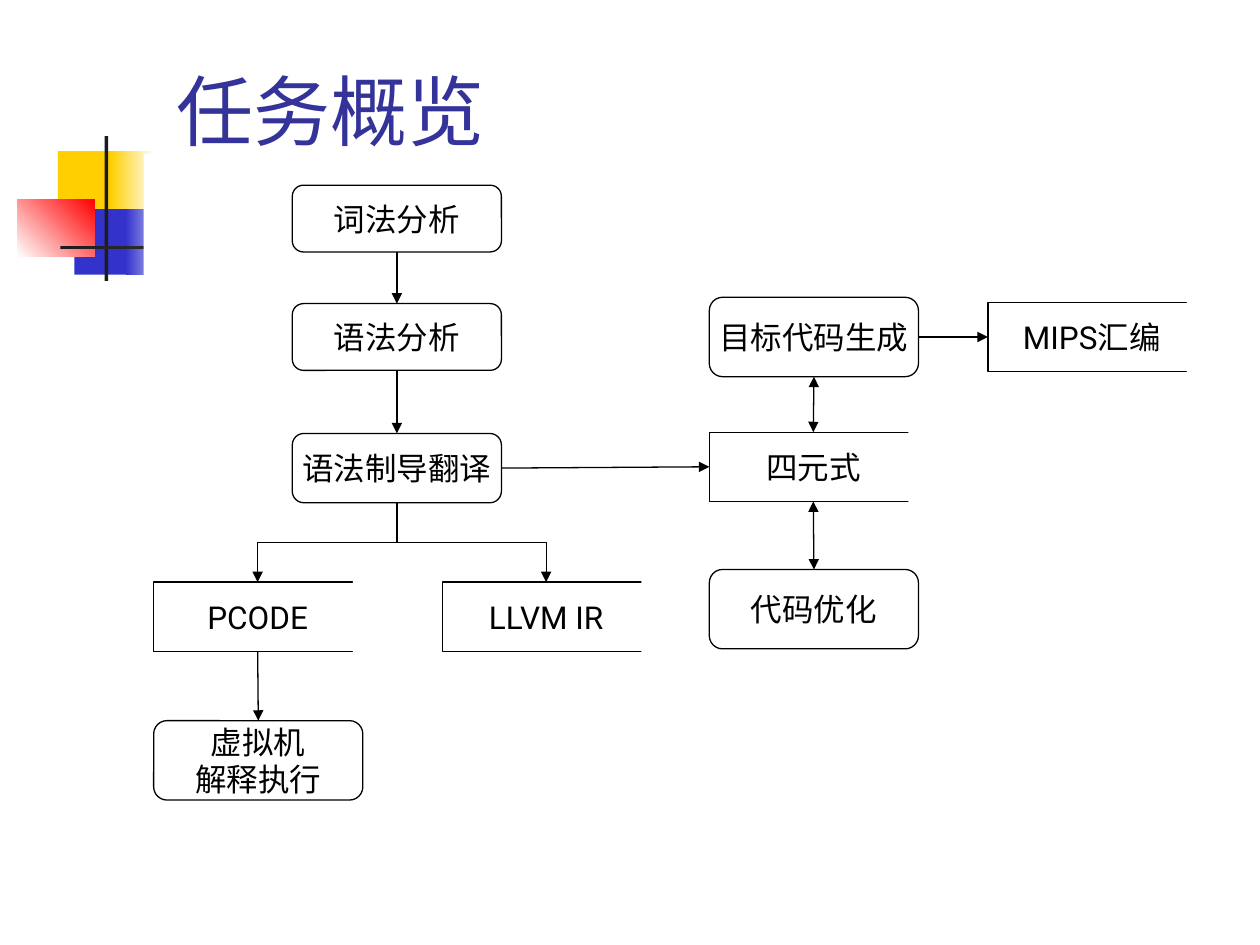
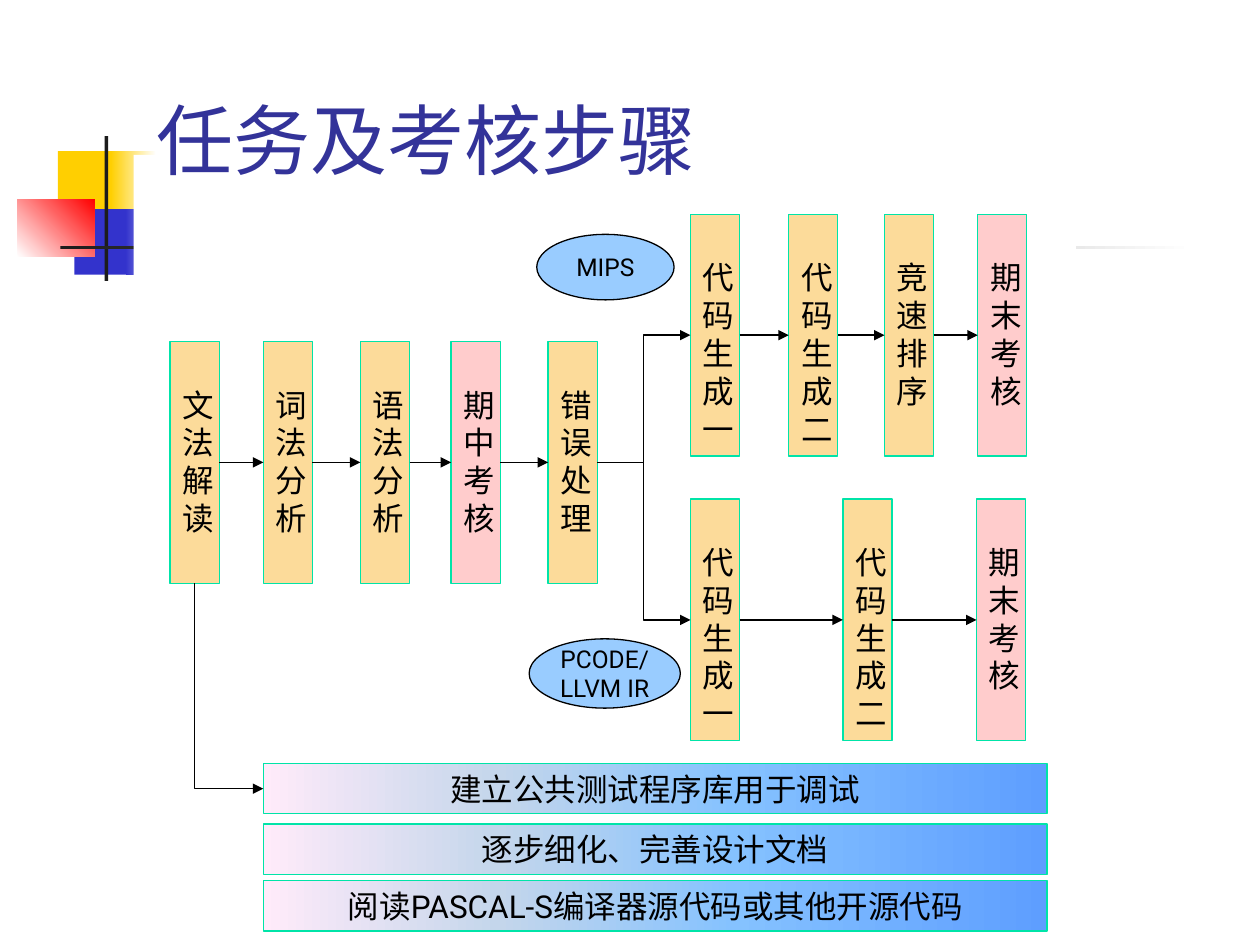
from itertools import pairwise
from lxml.etree import SubElement
from pptx import Presentation
from pptx.dml.color import RGBColor
from pptx.enum.shapes import MSO_CONNECTOR as Link, MSO_SHAPE as Kind
from pptx.enum.text import MSO_ANCHOR as Anchor, MSO_AUTO_SIZE as Fit, PP_ALIGN as Align
from pptx.oxml.ns import qn
from pptx.util import Inches, Pt

TOP, LEFT, BOTTOM, RIGHT = range(4)
BLACK, WHITE, GREEN = "000000", "FFFFFF", "00E4A8"
YELLOW, BLUE, RED, DARK = "FFCF01", "3333CC", "FF0000", "1C1C1C"
TITLE_COLOUR, TASK, EXAM, TARGET = "333399", "FCDB9A", "FFCCCC", "99CCFF"
BAR_STOPS = [(0, "5E9EFF"), (40, "85C2FF"), (70, "C4D6EB"), (100, "FFEBFA")]


def colour(code):
    """Turn a hex string into a colour."""
    return RGBColor.from_string(code)


def fade(start, end):
    """Give the stops of a two-colour gradient."""
    return [(0, start), (100, end)]


class Painter:
    """Hold the style and the current slide, and draw each kind of element."""

    font = "Roboto"
    motif = [
        ((0.46, 1.2, 0.48, 0.52), YELLOW, 0),
        ((0.88, 1.2, 0.36, 0.52), fade(YELLOW, WHITE), 0),
        ((0.59, 1.66, 0.46, 0.52), BLUE, 0),
        ((1, 1.66, 0.4, 0.52), fade(BLUE, WHITE), 0),
        ((0.14, 1.58, 0.61, 0.46), fade(WHITE, RED), 45),
        ((0.83, 1.08, 0.03, 1.15), DARK, 0),
        ((0.48, 1.95, 9, 0.03), fade(DARK, WHITE), 0),
    ]

    def __init__(self):
        """Open an empty deck of the right size."""
        self.deck = Presentation()
        self.deck.slide_width, self.deck.slide_height = Inches(10), Inches(7.5)

    def start(self, title, title_area, panel_area):
        """Add a slide with the corner motif, a white panel and its title."""
        self.page = self.deck.slides.add_slide(self.deck.slide_layouts[5])
        for area, fill, angle in self.motif:
            self.shape(Kind.RECTANGLE, area, fill, angle=angle)
        self.shape(Kind.RECTANGLE, panel_area, WHITE)
        box = self.page.shapes.title
        box.element.getparent().append(box.element)
        self.place(box, title_area)
        self.label(box, title, 44, TITLE_COLOUR, Align.LEFT,
                   vertical_anchor=Anchor.BOTTOM, word_wrap=True)

    def place(self, box, area):
        """Move and size a box."""
        for name, value in zip(("left", "top", "width", "height"), area):
            setattr(box, name, Inches(value))

    def shape(self, kind, area, fill, line=None, angle=0):
        """Draw a preset shape with a plain or gradient fill."""
        box = self.page.shapes.add_shape(kind, *map(Inches, area))
        box.shadow.inherit = False
        if isinstance(fill, str):
            box.fill.solid()
            box.fill.fore_color.rgb = colour(fill)
        else:
            box.fill.gradient()
            box.fill.gradient_angle = angle
            stops = box.element.find(".//" + qn("a:gsLst"))
            stops.clear()
            for position, code in fill:
                stop = SubElement(stops, qn("a:gs"), pos=str(position * 1000))
                SubElement(stop, qn("a:srgbClr"), val=code)
        if line:
            box.line.color.rgb = colour(line)
            box.line.width = Pt(0.75)
        else:
            box.line.fill.background()
        return box

    def label(self, box, text, size, code=BLACK, align=Align.CENTER, **frame_format):
        """Fill a box with text, one paragraph a line."""
        frame = box.text_frame
        frame.text = text
        for name, value in {"auto_size": Fit.NONE, **frame_format}.items():
            setattr(frame, name, value)
        for para in frame.paragraphs:
            para.alignment = align
            for span in para.runs:
                for name, value in {"name": self.font, "size": Pt(size)}.items():
                    setattr(span.font, name, value)
                span.font.color.rgb = colour(code)

    def node(self, text, area, kind=Kind.ROUNDED_RECTANGLE, fill=WHITE, size=18):
        """Draw a black-edged shape with centred text."""
        box = self.shape(kind, area, fill, BLACK)
        self.label(box, text, size, vertical_anchor=Anchor.MIDDLE, word_wrap=False)
        return box

    def store(self, text, left, top):
        """Draw a data store, which is open on its right side."""
        box = self.node(text, (left, top, 1.65, 0.55), Kind.RECTANGLE)
        self.shape(Kind.RECTANGLE, (left + 1.58, top - 0.15, 0.16, 0.75), WHITE)
        return box

    def column(self, text, left, top):
        """Draw a step with one character a line."""
        fill = EXAM if text.endswith("考核") else TASK
        box = self.shape(Kind.RECTANGLE, (left, top, 0.39, 1.92), fill, GREEN)
        self.label(box, text, 18, vertical_anchor=Anchor.TOP, word_wrap=True,
                   margin_top=Inches(0.35), margin_bottom=0)
        return box

    def chain(self, top, steps):
        """Draw a row of steps joined by arrows."""
        boxes = [self.column(text, left, top) for left, text in steps]
        for first, second in pairwise(boxes):
            self.arrow(first, RIGHT, second, LEFT)
        return boxes

    def bar(self, text, top):
        """Draw a wide gradient bar."""
        box = self.shape(Kind.RECTANGLE, (2.09, top, 6.22, 0.4), BAR_STOPS, GREEN, 180)
        self.label(box, text, 18, vertical_anchor=Anchor.MIDDLE, word_wrap=True)
        return box

    def connector(self, kind, points, ends=("tailEnd",)):
        """Draw a thin black connector with arrowheads."""
        link = self.page.shapes.add_connector(kind, *map(int, points))
        link.line.color.rgb = colour(BLACK)
        link.line.width = Pt(0.75)
        outline = link.element.spPr.find(qn("a:ln"))
        for end in ends:
            SubElement(outline, qn("a:" + end), type="triangle")
        SubElement(link.element.spPr, qn("a:effectLst"))
        return link

    def arrow(self, first, first_side, second, second_side, both=False):
        """Join two boxes by a straight arrow."""
        ends = ("headEnd", "tailEnd") if both else ("tailEnd",)
        link = self.connector(Link.STRAIGHT, (0, 0, 0, 0), ends)
        link.begin_connect(first, first_side)
        link.end_connect(second, second_side)

    def across(self, first, second):
        """Lead from a right side to a left side with two bends."""
        self.connector(Link.ELBOW, (
            first.left + first.width, first.top + first.height / 2,
            second.left, second.top + second.height / 2))

    def down(self, first, second, side=TOP):
        """Lead down from a box to the top or left side of another."""
        x, y = first.left + first.width / 2, first.top + first.height
        end_x, end_y = second.left, second.top
        if side == TOP:
            end_x += second.width / 2
        else:
            end_y += second.height / 2
        middle_x, middle_y = (x + end_x) / 2, (y + end_y) / 2
        half_x, half_y = (end_x - x) / 2, (end_y - y) / 2
        link = self.connector(Link.ELBOW, (
            middle_x - half_y, middle_y + half_x, middle_x + half_y, middle_y - half_x))
        link.rotation = 90
        if side == LEFT:
            link.element.find(".//" + qn("a:prstGeom")).set("prst", "bentConnector2")


def draw_overview(painter):
    """Draw the overview of the compiler tasks."""
    painter.start("任务概览", (1.3, 0.21, 8.52, 1.08), (1.14, 1.22, 8.37, 5.6))
    lexis = painter.node("词法分析", (2.32, 1.47, 1.66, 0.53))
    syntax = painter.node("语法分析", (2.32, 2.41, 1.66, 0.53))
    translator = painter.node("语法制导翻译", (2.32, 3.44, 1.66, 0.55))
    quadruples = painter.store("四元式", 5.63, 3.43)
    pcode = painter.store("PCODE", 1.22, 4.62)
    llvm = painter.store("LLVM IR", 3.51, 4.62)
    mips = painter.store("MIPS汇编", 7.84, 2.4)
    generator = painter.node("目标代码生成", (5.63, 2.36, 1.66, 0.63))
    optimizer = painter.node("代码优化", (5.63, 4.52, 1.66, 0.63))
    machine = painter.node("虚拟机\n解释执行", (1.22, 5.72, 1.66, 0.63))
    for upper, lower in ((lexis, syntax), (syntax, translator), (pcode, machine)):
        painter.arrow(upper, BOTTOM, lower, TOP)
    for upper, lower in ((generator, quadruples), (quadruples, optimizer)):
        painter.arrow(upper, BOTTOM, lower, TOP, both=True)
    for first, second in ((translator, quadruples), (generator, mips)):
        painter.arrow(first, RIGHT, second, LEFT)
    for output in (pcode, llvm):
        painter.down(translator, output)


def draw_steps(painter):
    """Draw the steps of the tasks and their assessment."""
    painter.start("任务及考核步骤", (1.14, 0.6, 8.52, 0.92), (1.06, 1.23, 7.48, 6.17))
    common = painter.chain(2.71, [
        (1.35, "文法解读"), (2.09, "词法分析"), (2.86, "语法分析"),
        (3.58, "期中考核"), (4.35, "错误处理")])
    mips = painter.chain(1.7, [
        (5.48, "代码生成一"), (6.26, "代码生成二"), (7.02, "竞速排序"), (7.76, "期末考核")])
    pcode = painter.chain(3.96, [
        (5.48, "代码生成一"), (6.69, "代码生成二"), (7.75, "期末考核")])
    for branch in (mips, pcode):
        painter.across(common[-1], branch[0])
    painter.node("MIPS", (4.26, 1.86, 1.09, 0.52), Kind.OVAL, TARGET, 14)
    painter.node("PCODE/\nLLVM IR", (4.2, 5.07, 1.2, 0.55), Kind.OVAL, TARGET, 14)
    bars = [painter.bar(text, top) for top, text in (
        (6.06, "建立公共测试程序库用于调试"),
        (6.54, "逐步细化、完善设计文档"),
        (6.99, "阅读PASCAL-S编译器源代码或其他开源代码"))]
    painter.down(common[0], bars[0], LEFT)


def main():
    """Build both slides and save the deck."""
    painter = Painter()
    draw_overview(painter)
    draw_steps(painter)
    painter.deck.save("out.pptx")


if __name__ == "__main__":
    main()
